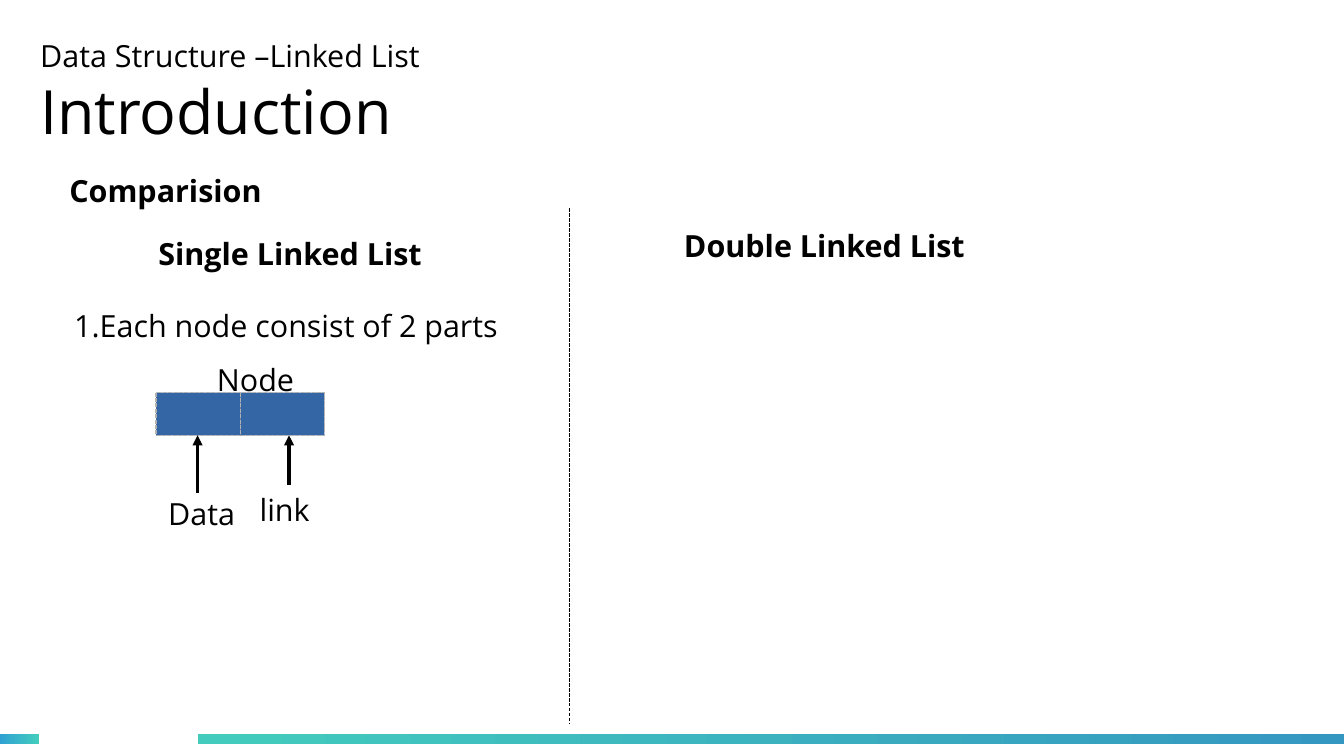
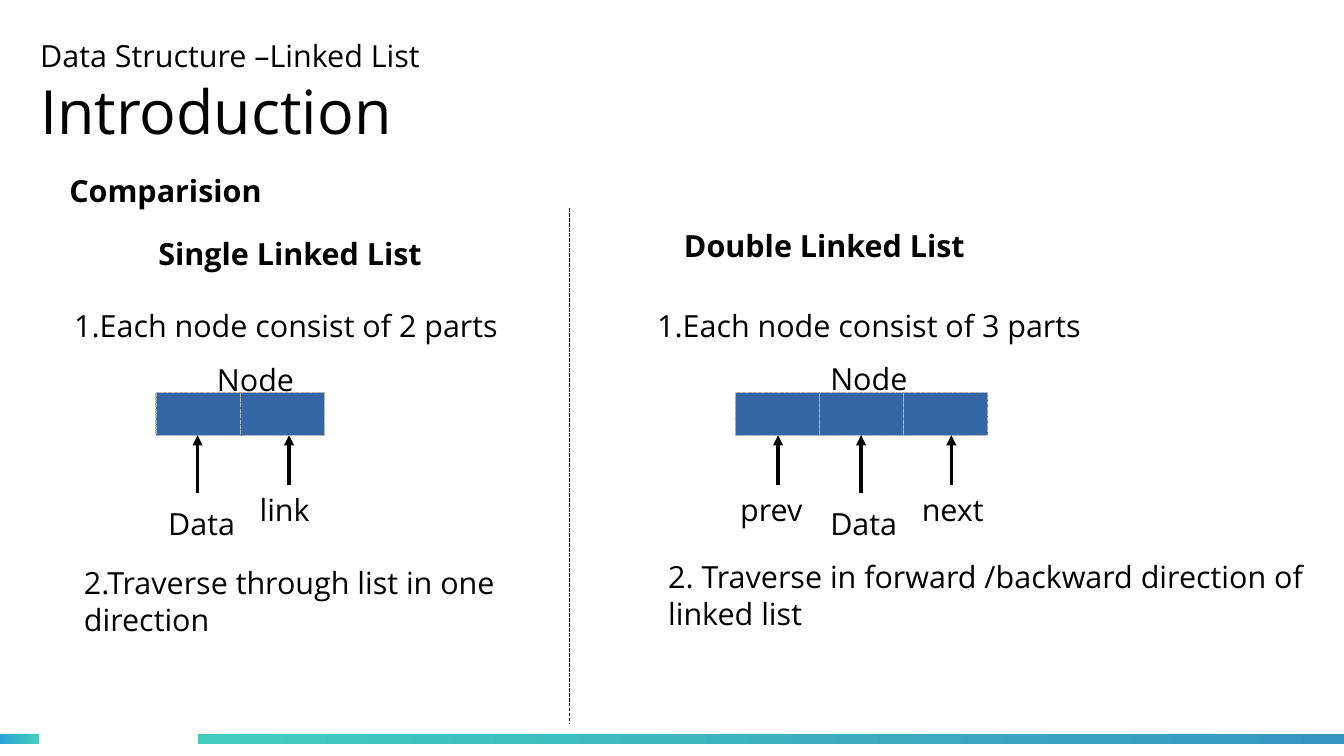
import pptx
import pptx.util
import pptx.dml.color
import pptx.enum.dml
import pptx.enum.shapes
import pptx.enum.text
import pptx.oxml.ns
import lxml.etree
from pptx.util import Inches

THEME = {
    "font": "Open Sans",
    "text": "000000",
    "box": "3465A4",
    "outline": "B2B2B2",
    "body_size": 18,
    "title_size": 36,
    "hairline": 0,
    "box_line": 0.79,
    "divider_line": 0.75,
}
SLIDE_SIZE = (11.02, 6.2)
TITLE = ("Data Structure –Linked List", "Introduction")
FOOTER_TOP, FOOTER_HEIGHT = 6.02, 0.08
FOOTER_BANDS = [
    (0, 0.32, ("30A2D2", "43CCBD")),
    (1.62, 9.4, ("43CCBD", "3497C1")),
]
DIVIDER = ((4.67, 1.71), (4.67, 5.93))
HEADINGS = [
    ("Comparision", (0.47, 1.36, 2.13, 0.68)),
    ("Single Linked List", (1.2, 1.88, 2.81, 0.44)),
    ("Double Linked List", (5.51, 1.81, 3.78, 0.52)),
]
SINGLE_POINT = ("1.Each node consist of 2 parts", (0.51, 2.47, 4.13, 0.44))
DOUBLE_POINT = ("1.Each node consist of 3 parts", (5.29, 2.47, 4.16, 0.44))
TRAVERSAL_POINTS = [
    ("2.Traverse through list in one direction", (0.59, 4.58, 3.67, 0.78)),
    ("2. Traverse in forward /backward direction of linked list",
     (5.38, 4.53, 5.49, 0.78)),
]

BOX_TOP, BOX_WIDTH, BOX_HEIGHT = 3.22, 0.69, 0.35
LABEL_HEIGHT = 0.44
LINK_PART = ("link", 2.03, 3.98, 0.69, 2.37, 3.98)


def single_node(data_top):
    return {
        "left": 1.28,
        "caption": (1.68, 2.91, 0.89),
        "parts": [("Data", 1.28, data_top, 0.85, 1.62, 4.04), LINK_PART],
    }


DOUBLE_NODE = {
    "left": 6.03,
    "caption": (6.71, 2.9, 0.96),
    "parts": [
        ("prev", 5.97, 3.98, 0.88, 6.38, 3.98),
        ("Data", 6.71, 4.09, 0.84, 7.06, 4.04),
        ("next", 7.46, 3.98, 0.88, 7.8, 3.98),
    ],
}
SLIDES = [
    {"points": [SINGLE_POINT], "nodes": [single_node(4.01)]},
    {"points": [SINGLE_POINT, DOUBLE_POINT, *TRAVERSAL_POINTS],
     "nodes": [single_node(4.09), DOUBLE_NODE]},
]


def color(name):
    return pptx.dml.color.RGBColor.from_string(THEME.get(name, name))


def add_text(shapes, lines, area, sizes=None, bold=False, margins=(0.1, 0.05),
             anchor=pptx.enum.text.MSO_ANCHOR.TOP):
    lines = [lines] if isinstance(lines, str) else lines
    sizes = sizes or [THEME["body_size"]] * len(lines)
    frame = shapes.add_textbox(*map(Inches, area)).text_frame
    frame.word_wrap = True
    frame.vertical_anchor = anchor
    frame.margin_left = frame.margin_right = Inches(margins[0])
    frame.margin_top = frame.margin_bottom = Inches(margins[1])
    for index, (line, size) in enumerate(zip(lines, sizes)):
        paragraph = frame.add_paragraph() if index else frame.paragraphs[0]
        run = paragraph.add_run()
        run.text = line
        run.font.name = THEME["font"]
        run.font.size = pptx.util.Pt(size)
        run.font.bold = bold
        run.font.color.rgb = color("text")


def add_rectangle(shapes, area):
    shape = shapes.add_shape(
        pptx.enum.shapes.MSO_SHAPE.RECTANGLE, *map(Inches, area))
    shape.shadow.inherit = False
    return shape


def add_line(shapes, start, end, width, dashed=False, arrow=False):
    connector = shapes.add_connector(
        pptx.enum.shapes.MSO_CONNECTOR.STRAIGHT, *map(Inches, start + end))
    connector.line.color.rgb = color("text")
    connector.line.width = pptx.util.Pt(width)
    if dashed:
        connector.line.dash_style = pptx.enum.dml.MSO_LINE.SQUARE_DOT
    if arrow:
        tail = lxml.etree.SubElement(
            connector.line._get_or_add_ln(), pptx.oxml.ns.qn("a:tailEnd"))
        tail.set("type", "triangle")
    lxml.etree.SubElement(
        connector._element.spPr, pptx.oxml.ns.qn("a:effectLst"))


def add_node(slide, node):
    shapes = slide.shapes.add_group_shape().shapes
    add_text(shapes, "Node", node["caption"] + (LABEL_HEIGHT,))
    for index, part in enumerate(node["parts"]):
        label, left, top, width, arrow_x, arrow_start = part
        box = add_rectangle(shapes, (node["left"] + index * BOX_WIDTH, BOX_TOP,
                                     BOX_WIDTH, BOX_HEIGHT))
        box.fill.solid()
        box.fill.fore_color.rgb = color("box")
        box.line.color.rgb = color("outline")
        box.line.width = pptx.util.Pt(THEME["box_line"])
        box.line.dash_style = pptx.enum.dml.MSO_LINE.SQUARE_DOT
        add_line(shapes, (arrow_x, arrow_start),
                 (arrow_x, BOX_TOP + BOX_HEIGHT), THEME["hairline"], arrow=True)
        add_text(shapes, label, (left, top, width, LABEL_HEIGHT))


def add_frame(slide):
    for left, width, stops in FOOTER_BANDS:
        band = add_rectangle(slide.shapes,
                             (left, FOOTER_TOP, width, FOOTER_HEIGHT))
        band.fill.gradient()
        band.fill.gradient_angle = 0
        for stop, stop_color in zip(band.fill.gradient_stops, stops):
            stop.color.rgb = color(stop_color)
        band.line.fill.background()
    add_text(slide.shapes, TITLE, (0.33, 0.24, 7.68, 1.02),
             sizes=(THEME["body_size"], THEME["title_size"]), margins=(0, 0),
             anchor=pptx.enum.text.MSO_ANCHOR.MIDDLE)
    for heading, area in HEADINGS:
        add_text(slide.shapes, heading, area, bold=True)
    add_line(slide.shapes, *DIVIDER, THEME["divider_line"], dashed=True)


presentation = pptx.Presentation()
presentation.slide_width, presentation.slide_height = map(Inches, SLIDE_SIZE)
for content in SLIDES:
    slide = presentation.slides.add_slide(presentation.slide_layouts[6])
    add_frame(slide)
    for point, area in content["points"]:
        add_text(slide.shapes, point, area)
    for node in content["nodes"]:
        add_node(slide, node)
presentation.save("out.pptx")
